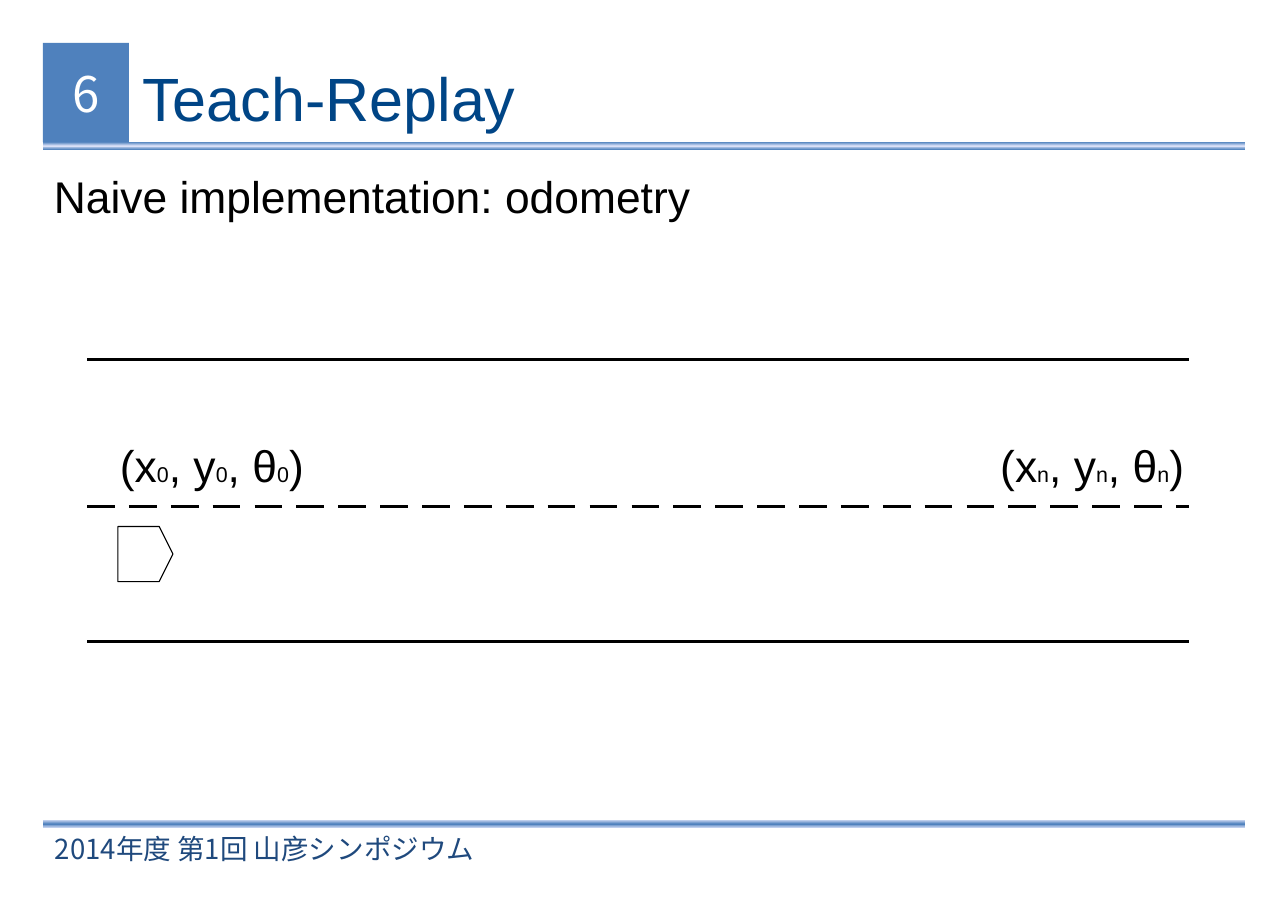
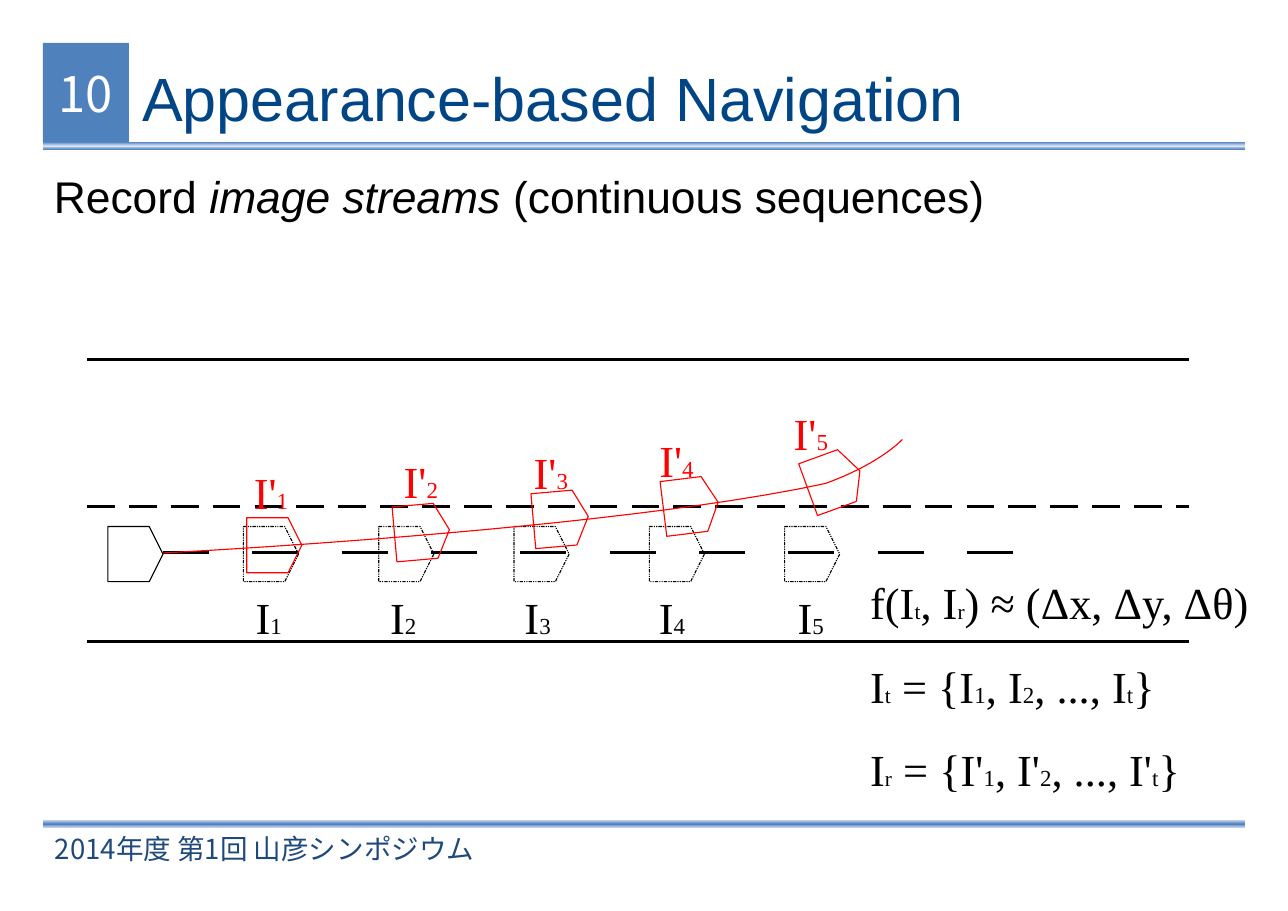
from copy import deepcopy
from dataclasses import dataclass

from lxml import etree
from pptx import Presentation
from pptx import util as u
from pptx.dml.color import RGBColor
from pptx.enum import shapes, text
from pptx.oxml.ns import qn

CELL = u.Inches(0.1)
COLUMNS, ROWS = 116.9, 82.7
COLORS = {
    "black": "000000",
    "white": "FFFFFF",
    "title": "004586",
    "footer": "1F497D",
    "blue": "4F81BD",
    "pale": "DAE1F8",
    "replay": "FF0000",
}
SANS, SERIF, CJK = "Arial", "Times New Roman", "Noto Sans CJK JP"
BODY_SIZE = 29
ROBOT = 5
ROBOT_ROW = 15.2
AXIS_ROW = 17.6
DASHED = [(900, 460)]
LONG_DASHED = [(1500, 1400)]
DASH_DOT_DOT = [(300, 100), (100, 100), (100, 100)]


@dataclass
class Box:
    left: float
    top: float
    width: float
    height: float

    def inner(self, left, top, width, height):
        return Box(self.left + left, self.top + top, width, height)

    def point(self, x, y):
        return cells(self.left + x), cells(self.top + y)

    def emu(self):
        return [cells(n) for n in (self.left, self.top, self.width, self.height)]


PAGE = Box(0, 0, COLUMNS, ROWS)
BAND = PAGE.inner(3.9, 3.9, 109.1, 71.3)
CORRIDOR = PAGE.inner(7.9, 32.6, 100, 25.6)
FORMULAS = PAGE.inner(78, 51.7, 38, 20.7)


def cells(count):
    return u.Emu(round(count * CELL))


def rgb(name):
    return RGBColor.from_string(COLORS[name])


def format_run(run, size, font, color, italic=False):
    run.font.size = u.Pt(size)
    run.font.name = font
    run.font.color.rgb = rgb(color)
    run.font.italic = italic
    east_asian = etree.Element(qn("a:ea"), typeface=font)
    run.font._element.find(qn("a:latin")).addnext(east_asian)


def write(frame, pieces, font, color, align="LEFT", anchor="TOP", inset=True):
    frame.word_wrap = True
    frame.auto_size = text.MSO_AUTO_SIZE.NONE
    frame.vertical_anchor = getattr(text.MSO_ANCHOR, anchor)
    if not inset:
        frame.margin_left = frame.margin_right = 0
        frame.margin_top = frame.margin_bottom = 0
    line = frame.paragraphs[0]
    line.alignment = getattr(text.PP_ALIGN, align)
    for words, size, italic in pieces:
        run = line.add_run()
        run.text = words
        format_run(run, size, font, color, italic)


def subscripted(formula, *sizes):
    first, *rest = formula.split("_")
    pieces = [(first, BODY_SIZE, False)]
    for index, part in enumerate(rest):
        pieces.append((part[0], sizes[min(index, len(sizes) - 1)], False))
        if part[1:]:
            pieces.append((part[1:], BODY_SIZE, False))
    return pieces


def add_text(slide, box, pieces, font=SANS, color="black", **layout):
    frame = slide.shapes.add_textbox(*box.emu()).text_frame
    write(frame, pieces, font, color, **layout)


def hairline(shape, color, dashes=()):
    shape.line.width = 0
    shape.line.color.rgb = rgb(color)
    if dashes:
        pattern = etree.SubElement(shape.line._get_or_add_ln(), qn("a:custDash"))
        for dash, gap in dashes:
            etree.SubElement(pattern, qn("a:ds"), d=str(dash * 1000), sp=str(gap * 1000))


def add_line(slide, box, start, end, dashes=()):
    line = slide.shapes.add_connector(
        shapes.MSO_CONNECTOR.STRAIGHT, *box.point(*start), *box.point(*end))
    hairline(line, "black", dashes)
    etree.SubElement(line._element.spPr, qn("a:effectLst"))


def add_block(slide, box):
    block = slide.shapes.add_shape(shapes.MSO_SHAPE.RECTANGLE, *box.emu())
    block.shadow.inherit = False
    block.line.fill.background()
    return block


def add_rule(slide, box, edge, middle):
    fill_shape = add_block(slide, box)
    fill = fill_shape.fill
    fill.gradient()
    fill.gradient_angle = 90
    outer, inner = fill.gradient_stops
    outer.color.rgb, outer.position = rgb(edge), 0
    inner.color.rgb, inner.position = rgb(middle), 0.5
    stops = fill_shape._element.spPr.find(".//" + qn("a:gsLst"))
    last = deepcopy(stops[0])
    last.set("pos", "100000")
    stops.append(last)


def add_robot(slide, box, left, top, color="black", angle=0, dashes=()):
    robot = slide.shapes.add_shape(
        shapes.MSO_SHAPE.PENTAGON, *box.inner(left, top, ROBOT, ROBOT).emu())
    robot.adjustments[0] = 0.25
    robot.rotation = angle
    robot.shadow.inherit = False
    robot.fill.background()
    hairline(robot, color, dashes)


def bezier(controls, steps=24):
    for step in range(1, steps + 1):
        t = step / steps
        weights = ((1 - t) ** 3, 3 * t * (1 - t) ** 2, 3 * t * t * (1 - t), t ** 3)
        yield tuple(sum(w * c[axis] for w, c in zip(weights, controls)) for axis in (0, 1))


def add_frame(slide, box, number, title):
    add_rule(slide, box.inner(0, 9, box.width, 0.7), "blue", "pale")
    badge = add_block(slide, box.inner(0, 0, 7.8, 9))
    badge.fill.solid()
    badge.fill.fore_color.rgb = rgb("blue")
    write(badge.text_frame, [(str(number), 32, False)], CJK, "white",
          align="CENTER", anchor="MIDDLE", inset=False)
    add_rule(slide, box.inner(0, 70.5, box.width, 0.8), "pale", "blue")
    add_text(slide, box.inner(0.1, 71.3, 66.9, 3.6),
             [("2014年度 第1回 山彦シンポジウム", 18, False)], CJK, "footer", anchor="MIDDLE")
    heading = slide.shapes.title
    heading.left, heading.top, heading.width, heading.height = box.inner(9, 0.2, 97.1, 9.5).emu()
    write(heading.text_frame, [(title, 39.9, False)], SANS, "title",
          anchor="MIDDLE", inset=False)


def add_corridor(slide, box):
    for row, dashes in ((0, ()), (box.height, ()), (13.4, DASHED)):
        add_line(slide, box, (0, row), (box.width, row), dashes)


def add_content_slide(deck, number, title, lead):
    slide = deck.slides.add_slide(deck.slide_layouts[5])
    add_frame(slide, BAND, number, title)
    add_text(slide, BAND.inner(0, 11, BAND.width, 5.5), lead)
    add_corridor(slide, CORRIDOR)
    return slide


def add_odometry(slide, box):
    add_robot(slide, box, 2.8, ROBOT_ROW)
    for left, index in ((2, "0"), (81.9, "n")):
        pose = f"(x_{index}, y_{index}, θ_{index})"
        add_text(slide, box.inner(left, 6.7, 18.9, 5.5), subscripted(pose, 14))


def add_label(slide, box, left, top, label, color):
    add_text(slide, box.inner(left, top, 12.6, 5.5), subscripted(label, 15),
             SERIF, color, align="CENTER")


def add_taught_run(slide, box):
    add_robot(slide, box, 1.9, ROBOT_ROW)
    add_line(slide, box, (6.9, AXIS_ROW), (84, AXIS_ROW), LONG_DASHED)
    for index, label_left in enumerate((10.2, 22.4, 34.6, 46.8, 59.4)):
        add_robot(slide, box, 14.2 + 12.28 * index, ROBOT_ROW, dashes=DASH_DOT_DOT)
        add_label(slide, box, label_left, 20.5, f"I_{index + 1}", "black")


def add_replayed_run(slide, box):
    start, bend, end = (6.9, AXIS_ROW), (67, 11.3), (74, 7.3)
    track = [*bezier((start, start, (47.1, 15.6), bend)),
             *bezier((bend, (72, 9.5), end, end))]
    builder = slide.shapes.build_freeform(*box.point(*start))
    builder.add_line_segments([box.point(*spot) for spot in track], close=False)
    path_line = builder.convert_to_shape()
    path_line.shadow.inherit = False
    path_line.fill.background()
    hairline(path_line, "replay")

    stations = (
        (14.5, 14.4, 0, 10.4, 9.1),
        (27.9, 13.2, 355, 24, 8.1),
        (40.5, 12, 355, 35.8, 7.3),
        (52.3, 10.8, 353, 47.2, 6.2),
        (65.3, 8.5, 340, 59.4, 3.8),
    )
    for index, (left, top, angle, label_left, label_top) in enumerate(stations, 1):
        add_robot(slide, box, left, top, "replay", angle)
        add_label(slide, box, label_left, label_top, f"I'_{index}", "replay")


def add_formulas(slide, box):
    lines = (
        ("f(I_t, I_r) ≈ (Δx, Δy, Δθ)", (14,)),
        ("I_t = {I_1, I_2, ..., I_t}", (14, 15)),
        ("I_r = {I'_1, I'_2, ..., I'_t}", (14, 15)),
    )
    for row, (formula, sizes) in enumerate(lines):
        add_text(slide, box.inner(0, 7.6 * row, box.width, 5.5),
                 subscripted(formula, *sizes), SERIF)


def main():
    deck = Presentation()
    deck.slide_width, deck.slide_height = cells(COLUMNS), cells(ROWS)

    odometry = add_content_slide(
        deck, 6, "Teach-Replay", [("Naive implementation: odometry", BODY_SIZE, False)])
    add_odometry(odometry, CORRIDOR)

    navigation = add_content_slide(deck, 10, "Appearance-based Navigation", [
        ("Record ", BODY_SIZE, False),
        ("image streams", BODY_SIZE, True),
        (" (continuous sequences)", BODY_SIZE, False),
    ])
    add_taught_run(navigation, CORRIDOR)
    add_replayed_run(navigation, CORRIDOR)
    add_formulas(navigation, FORMULAS)

    deck.save("out.pptx")


if __name__ == "__main__":
    main()
